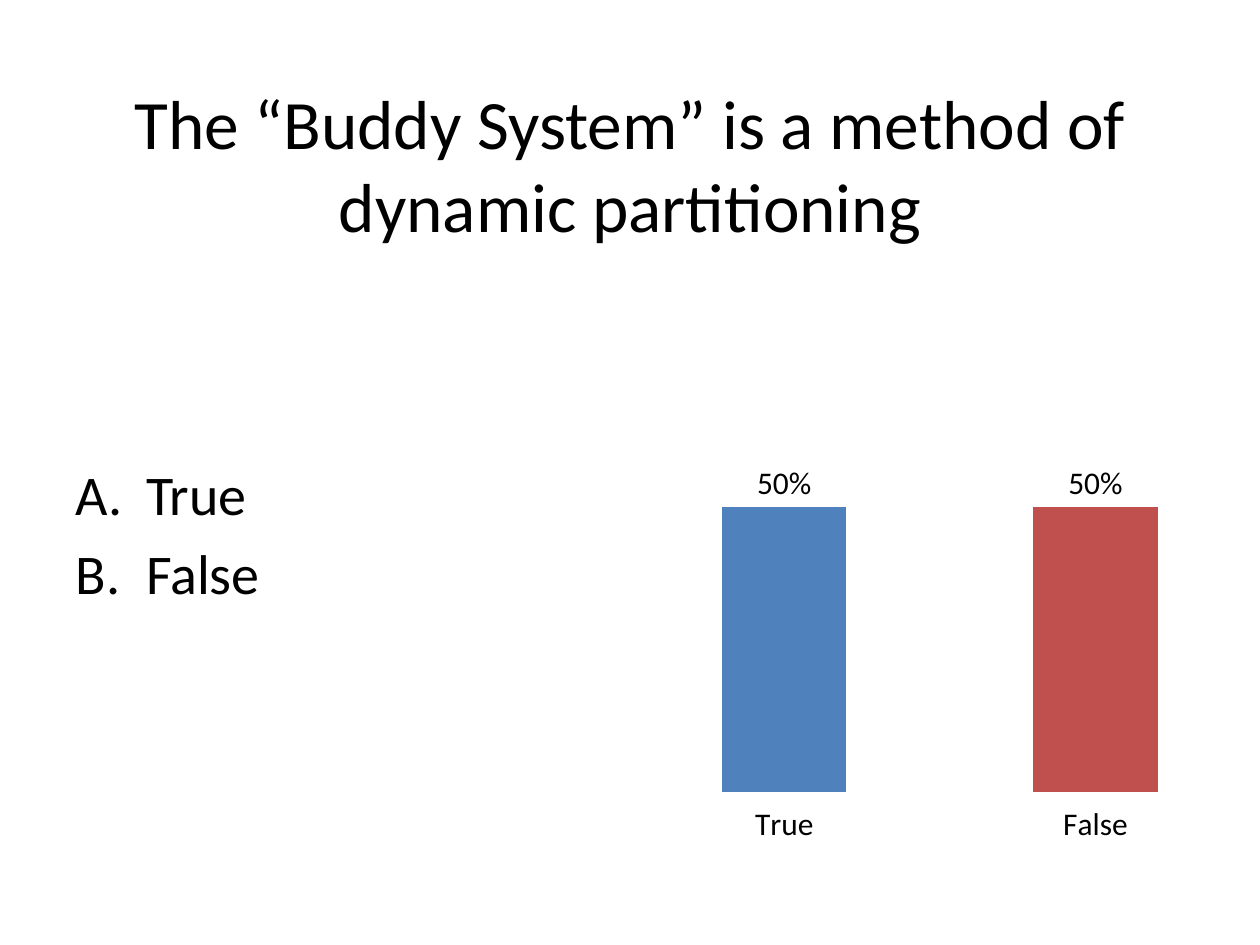
from dataclasses import dataclass

import lxml.etree
import pptx
import pptx.chart.data
import pptx.dml.color
import pptx.enum.chart
import pptx.enum.text
import pptx.oxml
import pptx.oxml.ns
import pptx.util

Inches = pptx.util.Inches
Pt = pptx.util.Pt
RGB = pptx.dml.color.RGBColor
qn = pptx.oxml.ns.qn


@dataclass(frozen=True)
class Theme:
    font: str = "Calibri"
    text: RGB = RGB(0x00, 0x00, 0x00)
    title_size: float = 39.6
    answer_size: float = 32
    chart_size: float = 18


@dataclass(frozen=True)
class Box:
    left: float
    top: float
    width: float
    height: float

    def lengths(self) -> tuple:
        return tuple(Inches(v) for v in (self.left, self.top, self.width, self.height))


@dataclass(frozen=True)
class Answer:
    label: str
    share: float
    color: RGB


THEME = Theme()
QUESTION = "The “Buddy System” is a method of dynamic partitioning"
ANSWERS = [
    Answer("True", 0.5, RGB(0x4F, 0x81, 0xBD)),
    Answer("False", 0.5, RGB(0xC0, 0x50, 0x4D)),
]
PLOT_LAYOUT = {"x": 0.008, "y": 0.072, "w": 0.992, "h": 0.76}


def place(sp, box: Box) -> None:
    sp.left, sp.top, sp.width, sp.height = box.lengths()


def style_font(font, size: float) -> None:
    font.name = THEME.font
    font.size = Pt(size)
    font.color.rgb = THEME.text


def add_run(p, text: str, size: float) -> None:
    r = p.add_run()
    r.text = text
    style_font(r.font, size)


def add_title(sp, box: Box) -> None:
    place(sp, box)
    tf = sp.text_frame
    tf.word_wrap = True
    tf.vertical_anchor = pptx.enum.text.MSO_ANCHOR.MIDDLE
    p = tf.paragraphs[0]
    p.alignment = pptx.enum.text.PP_ALIGN.CENTER
    add_run(p, QUESTION, THEME.title_size)


def add_answers(sp, box: Box) -> None:
    place(sp, box)
    tf = sp.text_frame
    tf.word_wrap = True
    for i, answer in enumerate(ANSWERS):
        p = tf.add_paragraph() if i else tf.paragraphs[0]
        p.space_before = Pt(0.2 * THEME.answer_size if i else 0)
        # Lettered list with a hanging indent
        pPr = p._p.get_or_add_pPr()
        pPr.set("marL", str(Inches(0.56)))
        pPr.set("indent", str(Inches(-0.56)))
        lxml.etree.SubElement(pPr, qn("a:buFont"), typeface=THEME.font)
        lxml.etree.SubElement(pPr, qn("a:buAutoNum"), type="alphaUcPeriod")
        add_run(p, answer.label, THEME.answer_size)


def set_plot_layout(chart) -> None:
    plot_area = chart._chartSpace.find(qn("c:chart")).find(qn("c:plotArea"))
    layout = plot_area.find(qn("c:layout"))
    if layout is None:
        layout = lxml.etree.Element(qn("c:layout"))
        plot_area.insert(0, layout)
    manual = lxml.etree.SubElement(layout, qn("c:manualLayout"))
    settings = {"layoutTarget": "outer", "xMode": "edge", "yMode": "edge", **PLOT_LAYOUT}
    for name, value in settings.items():
        lxml.etree.SubElement(manual, qn(f"c:{name}"), val=str(value))


def add_results(slide, box: Box) -> None:
    data = pptx.chart.data.CategoryChartData(number_format="0%")
    data.categories = [a.label for a in ANSWERS]
    data.add_series("Series 1", [a.share for a in ANSWERS])
    kind = pptx.enum.chart.XL_CHART_TYPE.COLUMN_CLUSTERED
    chart = slide.shapes.add_chart(kind, *box.lengths(), data).chart
    chart.has_legend = False
    chart.has_title = False
    style_font(chart.font, THEME.chart_size)
    set_plot_layout(chart)

    # Axes
    for axis in (chart.category_axis, chart.value_axis):
        axis.has_major_gridlines = False
        axis.major_tick_mark = pptx.enum.chart.XL_TICK_MARK.OUTSIDE
        axis.format.line.fill.background()
    values = chart.value_axis
    values.minimum_scale = 0
    values.maximum_scale = 0.6
    values.tick_label_position = pptx.enum.chart.XL_TICK_LABEL_POSITION.NONE
    values.tick_labels.number_format = "0%"
    values.tick_labels.number_format_is_linked = False

    # Columns and their labels
    plot = chart.plots[0]
    plot.gap_width = 150
    plot.vary_by_categories = False
    series = plot.series[0]
    for i, answer in enumerate(ANSWERS):
        fill = series.points[i].format.fill
        fill.solid()
        fill.fore_color.rgb = answer.color
    labels = series.data_labels
    labels.show_value = True
    labels.number_format = "0%"
    labels.number_format_is_linked = False
    labels.position = pptx.enum.chart.XL_LABEL_POSITION.OUTSIDE_END
    style_font(labels.font, THEME.chart_size)


def main() -> None:
    prs = pptx.Presentation()
    prs.slide_width, prs.slide_height = Inches(10), Inches(7.5)
    slide = prs.slides.add_slide(prs.slide_layouts[1])
    add_title(slide.shapes.title, Box(0.5, 0.67, 9, 1.25))
    add_answers(slide.placeholders[1], Box(0.5, 3.6, 4.5, 3.1))
    add_results(slide, Box(4.93, 3.28, 5, 4.1))
    prs.save("out.pptx")


if __name__ == "__main__":
    main()
